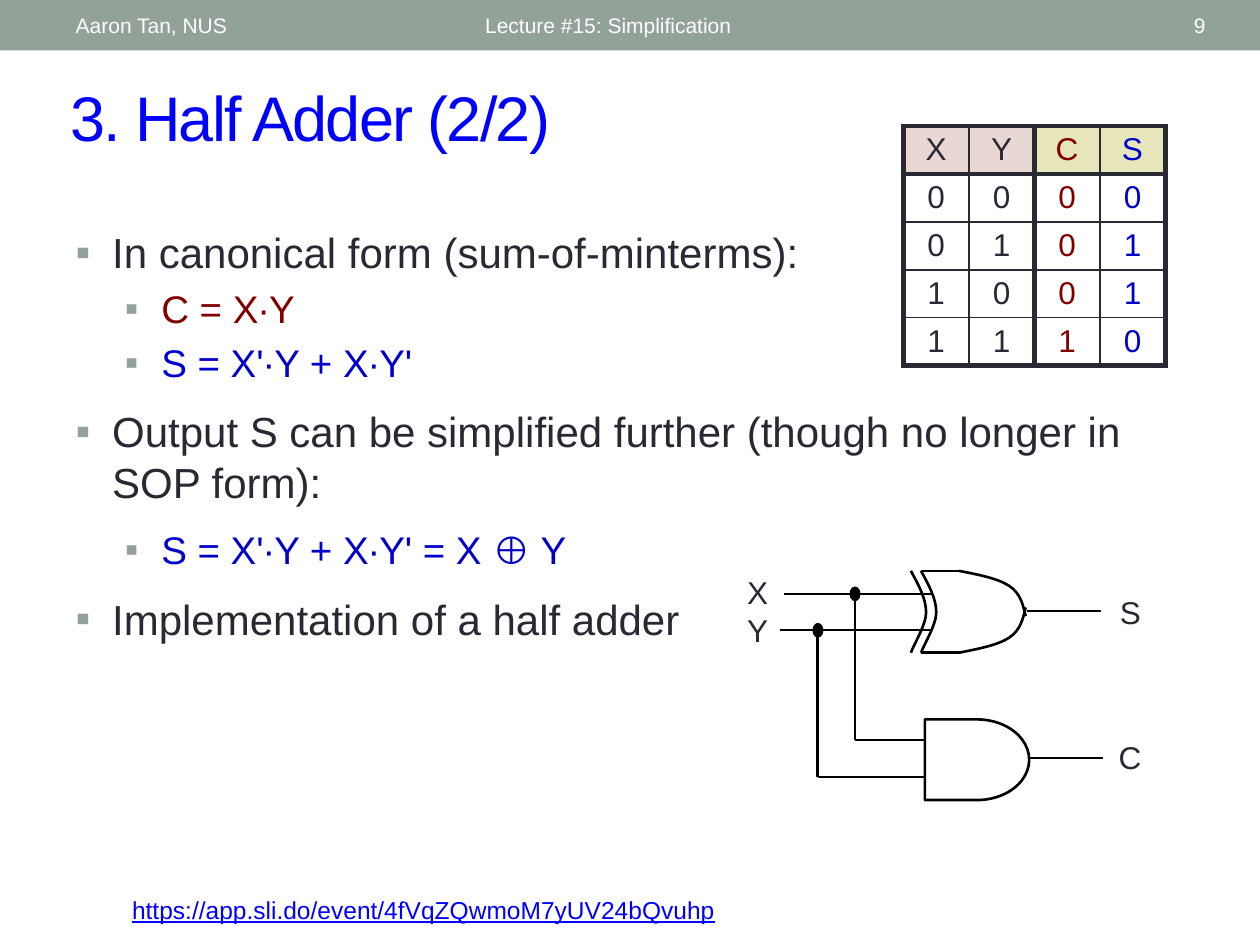
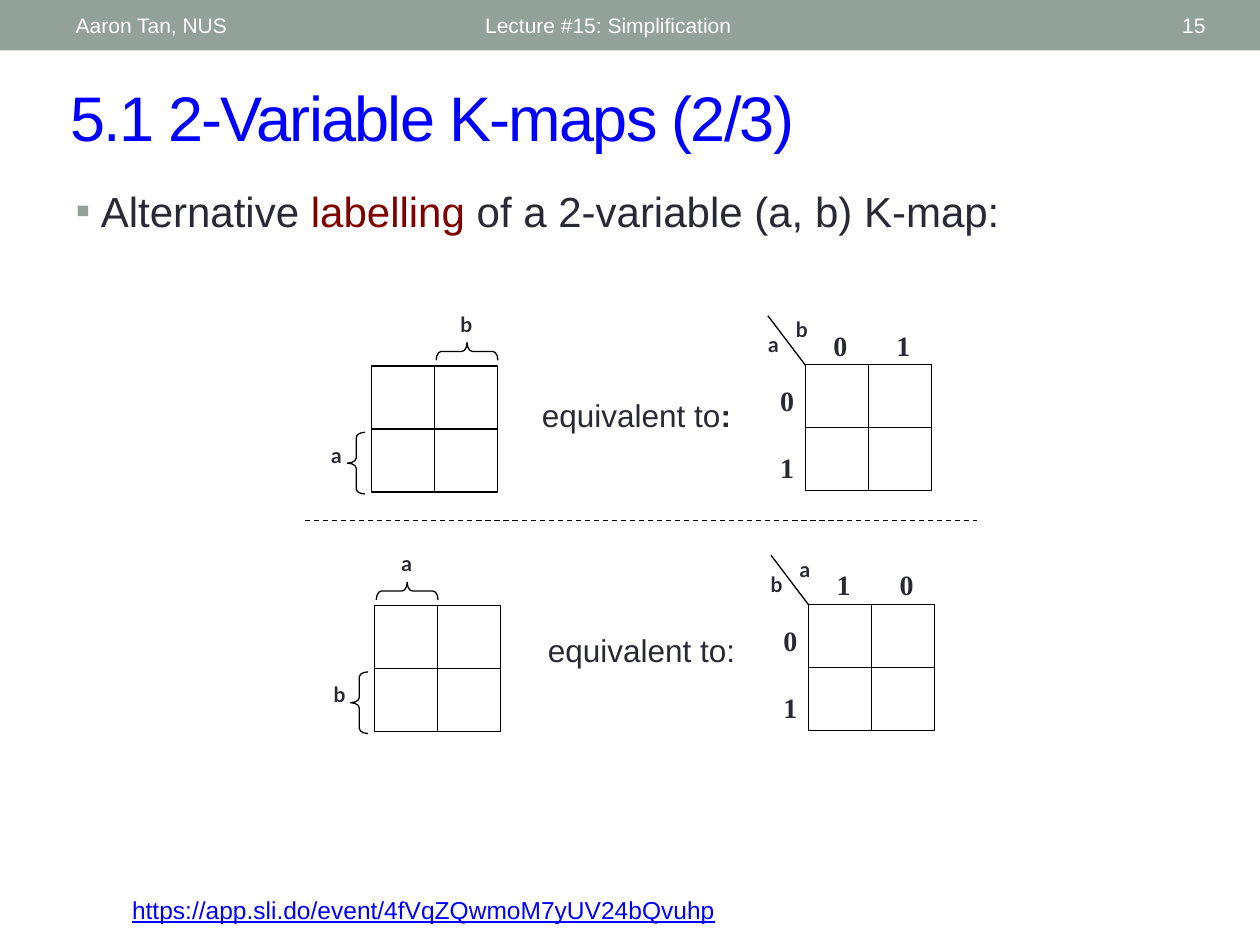
"""Build two lecture slides: a half adder and alternative K-map labellings."""
from dataclasses import dataclass

from lxml import etree
from pptx import Presentation
from pptx.dml.color import RGBColor
from pptx.enum import dml, shapes, text
from pptx.oxml.ns import qn
from pptx.util import Pt


@dataclass(frozen=True)
class Theme:
    ink: str = "292934"
    black: str = "000000"
    white: str = "FFFFFF"
    band: str = "93A299"
    title: str = "0000FF"
    red: str = "800000"
    blue: str = "0000CC"
    input_fill: str = "E9D7D3"
    output_fill: str = "E7E5BA"
    font: str = "Arial"
    label_font: str = "Lato"
    digit_font: str = "Times New Roman"
    title_size: int = 36
    level_sizes: tuple = (24, 22)
    normal: int = 18
    digit: int = 16
    link: int = 14
    small: int = 12
    wire: float = 1.25
    gate: float = 1.5
    grid: float = 0.75


T = Theme()
LEFT, CENTER, RIGHT = text.PP_ALIGN.LEFT, text.PP_ALIGN.CENTER, text.PP_ALIGN.RIGHT
SHAPE = shapes.MSO_SHAPE

AUTHOR = "Aaron Tan, NUS"
LECTURE = "Lecture #15: Simplification"
LINK = "https://app.sli.do/event/4fVqZQwmoM7yUV24bQvuhp"

ADDER_POINTS = [
    (0, 0, [("In canonical form (sum-of-minterms):", T.ink)]),
    (1, 0.2, [("C = X∙Y", T.red)]),
    (1, 0.2, [("S = X'∙Y + X∙Y'", T.blue)]),
    (0, 0.5, [("Output S can be simplified further (though no longer in SOP form):", T.ink)]),
    (1, 0.5, [("S = X'∙Y + X∙Y' = X ⊕ Y", T.blue)]),
    (0, 0.5, [("Implementation of a half adder", T.ink)]),
]
KMAP_POINTS = [
    (0, 0, [("Alternative ", T.ink), ("labelling", T.red),
            (" of a 2-variable (a, b) K-map:", T.ink)]),
]
TRUTH_TABLE = ["XYCS", "0000", "0101", "1001", "1110"]
COLUMN_COLORS = [T.ink, T.ink, T.red, T.blue]
COLUMN_FILLS = [T.input_fill, T.input_fill, T.output_fill, T.output_fill]

X_WIRE, Y_WIRE, X_TAP, Y_TAP = 339.4, 360.2, 488.4, 467.2
AND_X, AND_Y = 423, 444.2
XOR_TOP, XOR_MID, XOR_BOTTOM = 326.2, 349.6, 373
WIRES = [
    (447.8, X_WIRE, 532.8, X_WIRE), (445.7, Y_WIRE, 532.8, Y_WIRE),
    (X_TAP, X_WIRE, X_TAP, AND_X), (X_TAP, AND_X, 528.5, AND_X),
    (Y_TAP, Y_WIRE, Y_TAP, AND_Y), (Y_TAP, AND_Y, 528.5, AND_Y),
    (586.8, 349.2, 629.3, 349.2), (588.2, 433, 630, 433),
]
XOR_BACK = [(526.3, 326.2), (530.6, 334.1), (535, 342), (535, 349.9),
            (535, 357.1), (527.8, 368.6), (526.3, 373)]
XOR_NOSE = [(547.9, 326.2), (558.7, 328.3), (570.2, 330.5), (576.7, 334.8),
            (583.2, 339.1), (584.6, 345.6), (586.1, 352.1)]
GATE_LABELS = [(419.8, 324, 39.6, ["X", "Y"]), (632.9, 335.5, 25.2, ["S"]),
               (632.2, 418.3, 25.2, ["C"])]

CELL = 36
KMAPS = [
    dict(at=(212.4, 209.2), top="b", side="a", top_column=1, digits="01",
         phrase_at=(302.6, 222.5), bold_colon=True),
    dict(at=(214.2, 346.1), top="a", side="b", top_column=0, digits="10",
         phrase_at=(306, 357.3), bold_colon=False),
]


def rgb(color):
    return RGBColor.from_string(color)


def style(r, size, color=T.ink, font=T.font, bold=False):
    r.font.size, r.font.name, r.font.bold = Pt(size), font, bold
    r.font.color.rgb = rgb(color)


def add_text(s, box, lines, size, color=T.ink, font=T.font, bold=False,
             align=LEFT, middle=False, gap=0):
    tf = s.shapes.add_textbox(*map(Pt, box)).text_frame
    tf.word_wrap = True
    if middle:
        tf.vertical_anchor = text.MSO_ANCHOR.MIDDLE
    tf.text = "\n".join(lines)
    for i, p in enumerate(tf.paragraphs):
        p.alignment = align
        p.space_before = Pt(gap if i else 0)
        style(p.runs[0], size, color, font, bold)
    return tf


def paint(sp, fill=None, line=None, width=T.grid):
    sp.shadow.inherit = False
    if fill:
        sp.fill.solid()
        sp.fill.fore_color.rgb = rgb(fill)
    else:
        sp.fill.background()
    if line:
        sp.line.color.rgb = rgb(line)
        sp.line.width = Pt(width)
    else:
        sp.line.fill.background()


def add_shape(s, kind, box, **look):
    sp = s.shapes.add_shape(kind, *map(Pt, box))
    paint(sp, **look)
    return sp


def add_line(s, ends, width, dash=False):
    c = s.shapes.add_connector(shapes.MSO_CONNECTOR.STRAIGHT, *map(Pt, ends))
    c.line.color.rgb = rgb(T.black)
    c.line.width = Pt(width)
    if dash:
        c.line.dash_style = dml.MSO_LINE.DASH
    etree.SubElement(c._element.spPr, qn("a:effectLst"))


def add_curve(s, knots):
    """Draw an open chain of cubic Bezier curves, three knots to a curve."""
    pts = [(Pt(x), Pt(y)) for x, y in knots]
    builder = s.shapes.build_freeform(*pts[0])
    builder.add_line_segments(pts[1:], close=False)
    sp = builder.convert_to_shape()
    outline = next(sp._element.iter(qn("a:path")))
    segments = outline.findall(qn("a:lnTo"))
    for k in range(0, len(segments), 3):
        curve = etree.SubElement(outline, qn("a:cubicBezTo"))
        for segment in segments[k:k + 3]:
            curve.append(segment[0])
            outline.remove(segment)
    paint(sp, line=T.black, width=T.gate)


def place(sp, box):
    sp.left, sp.top, sp.width, sp.height = map(Pt, box)


def fill_list(body, points, indents):
    tf = body.text_frame
    tf.auto_size = text.MSO_AUTO_SIZE.NONE
    for i, (level, gap, runs) in enumerate(points):
        p = tf.paragraphs[0] if i == 0 else tf.add_paragraph()
        p.level = level
        pPr = p._p.get_or_add_pPr()
        pPr.set("marL", str(Pt(indents[level])))
        pPr.set("indent", str(-Pt(indents[0])))
        color = etree.SubElement(pPr, qn("a:buClr"))
        etree.SubElement(color, qn("a:srgbClr"), val=T.band)
        etree.SubElement(pPr, qn("a:buFont"), typeface=T.font)
        etree.SubElement(pPr, qn("a:buChar"), char="▪")
        size = T.level_sizes[level]
        p.line_spacing = 1.0
        p.space_before = Pt(gap * size)
        for words, ink in runs:
            r = p.add_run()
            r.text = words
            style(r, size, ink)


def add_slide(prs, title, number, points, body_box, indents):
    s = prs.slides.add_slide(prs.slide_layouts[1])
    add_shape(s, SHAPE.RECTANGLE, (0, 0, 720, 28.8), fill=T.band)
    for x, w, words, align in [(36.2, 228, AUTHOR, LEFT), (270.2, 324, LECTURE, LEFT),
                               (627.5, 68.4, number, RIGHT)]:
        add_text(s, (x, 1.4, w, 26), [words], T.small, T.white, align=align, middle=True)
    tf = add_text(s, (68.4, 507.8, 468, 24.5), [LINK], T.link, T.title)
    tf.paragraphs[0].runs[0].font.underline = True

    place(s.shapes.title, (33, 41, 653, 50.4))
    tf = s.shapes.title.text_frame
    tf.text = title
    tf.vertical_anchor = text.MSO_ANCHOR.MIDDLE
    p = tf.paragraphs[0]
    p.alignment = LEFT
    style(p.runs[0], T.title_size, T.title)
    p.runs[0]._r.get_or_add_rPr().set("spc", "-100")

    body = s.placeholders[1]
    place(body, body_box)
    fill_list(body, points, indents)
    return s


def set_borders(cell, widths):
    tcPr = cell._tc.get_or_add_tcPr()
    for side, width in zip("LRTB", widths):
        ln = etree.SubElement(tcPr, qn(f"a:ln{side}"), w=str(Pt(width)))
        fill = etree.SubElement(ln, qn("a:solidFill"))
        etree.SubElement(fill, qn("a:srgbClr"), val=T.ink)


def add_truth_table(s):
    rows, cols = len(TRUTH_TABLE), len(TRUTH_TABLE[0])
    width, height = 37.44, 27.4
    box = (516.2, 72, width * cols, height * rows)
    table = s.shapes.add_table(rows, cols, *map(Pt, box)).table
    table.first_row = table.horz_banding = False
    thick_x, thick_y = (0, 2, cols), (0, 1, rows)
    for i, row in enumerate(TRUTH_TABLE):
        table.rows[i].height = Pt(height)
        for j, value in enumerate(row):
            table.columns[j].width = Pt(width)
            cell = table.cell(i, j)
            set_borders(cell, [3 if thick else 1 for thick in (
                j in thick_x, j + 1 in thick_x, i in thick_y, i + 1 in thick_y)])
            if i == 0:
                cell.fill.solid()
                cell.fill.fore_color.rgb = rgb(COLUMN_FILLS[j])
            else:
                cell.fill.background()
            cell.margin_top = cell.margin_bottom = Pt(2)
            cell.vertical_anchor = text.MSO_ANCHOR.MIDDLE
            cell.text = value
            p = cell.text_frame.paragraphs[0]
            p.alignment = CENTER
            style(p.runs[0], T.normal, COLUMN_COLORS[j])


def add_circuit(s):
    add_shape(s, SHAPE.FLOWCHART_DELAY, (528.5, 411.1, 59.6, 46.1), line=T.black, width=T.gate)
    for ends in WIRES:
        add_line(s, ends, T.wire)
    for x, y in [(X_TAP, X_WIRE), (Y_TAP, Y_WIRE)]:
        add_shape(s, SHAPE.OVAL, (x - 2.3, y - 3.6, 5, 7.2),
                  fill=T.black, line=T.black, width=T.wire)
    for shift in (0, -5.8):
        add_curve(s, [(x + shift, y) for x, y in XOR_BACK])
    add_curve(s, XOR_NOSE)
    add_curve(s, [(x, 2 * XOR_MID - y) for x, y in XOR_NOSE])
    for y in (XOR_TOP, XOR_BOTTOM):
        add_line(s, (XOR_BACK[0][0], y, XOR_NOSE[0][0], y), T.gate)
    for x, y, h, names in GATE_LABELS:
        add_text(s, (x, y, 28.8, h), names, T.normal)


def add_grid(s, x, y):
    add_shape(s, SHAPE.RECTANGLE, (x, y, 2 * CELL, 2 * CELL), line=T.black)
    add_line(s, (x, y + CELL, x + 2 * CELL, y + CELL), T.grid)
    add_line(s, (x + CELL, y, x + CELL, y + 2 * CELL), T.grid)


def add_label(s, x, y, name):
    add_text(s, (x, y, 31.7, 24), [name], T.small, font=T.label_font, bold=True, align=CENTER)


def add_kmap_pair(s, at, top, side, top_column, digits, phrase_at, bold_colon):
    x, y = at
    add_grid(s, x, y)
    over = x + top_column * CELL
    for left, up, turn in [(x - 13.9, y + 37.8, 0), (over + 13.4, y - 26, 90)]:
        sp = add_shape(s, SHAPE.LEFT_BRACE, (left, up, 10.1, 35.3), line=T.black)
        sp.adjustments[0] = 0.29
        sp.rotation = turn
    add_label(s, x - 36, y + 40, side)
    add_label(s, over + 2.3, y - 35, top)

    p = add_text(s, (*phrase_at, 129.6, 28.8), ["equivalent to"], T.normal).paragraphs[0]
    r = p.add_run()
    r.text = ":"
    style(r, T.normal, bold=bold_colon)

    x, y = x + 248, y - 0.8
    add_grid(s, x, y)
    add_line(s, (x, y + 0.5, x - 21.6, y - 28), T.grid)
    add_label(s, x - 34.2, y - 22.3, side)
    add_label(s, x - 18, y - 31, top)
    look = dict(size=T.digit, font=T.digit_font, bold=True)
    for column, digit in enumerate(digits):
        add_text(s, (x + column * CELL + 1.9, y - 24.3, CELL, 28), [digit], align=CENTER, **look)
    add_text(s, (x - 31.2, y + 7.2, 31.7, 61.2), ["0", "1"], align=RIGHT, gap=19.4, **look)


def main():
    prs = Presentation()
    prs.slide_width, prs.slide_height = Pt(720), Pt(540)
    s = add_slide(prs, "3. Half Adder (2/2)", "9", ADDER_POINTS,
                  (36, 126, 648, 356.4), (20.9, 49))
    add_truth_table(s)
    add_circuit(s)
    s = add_slide(prs, "5.1 2-Variable K-maps (2/3)", "15", KMAP_POINTS,
                  (36, 102.2, 648, 46), (14.4,))
    for kmap in KMAPS:
        add_kmap_pair(s, **kmap)
    add_line(s, (174.2, 297.4, 558, 297.4), T.grid, dash=True)
    prs.save("out.pptx")


if __name__ == "__main__":
    main()
